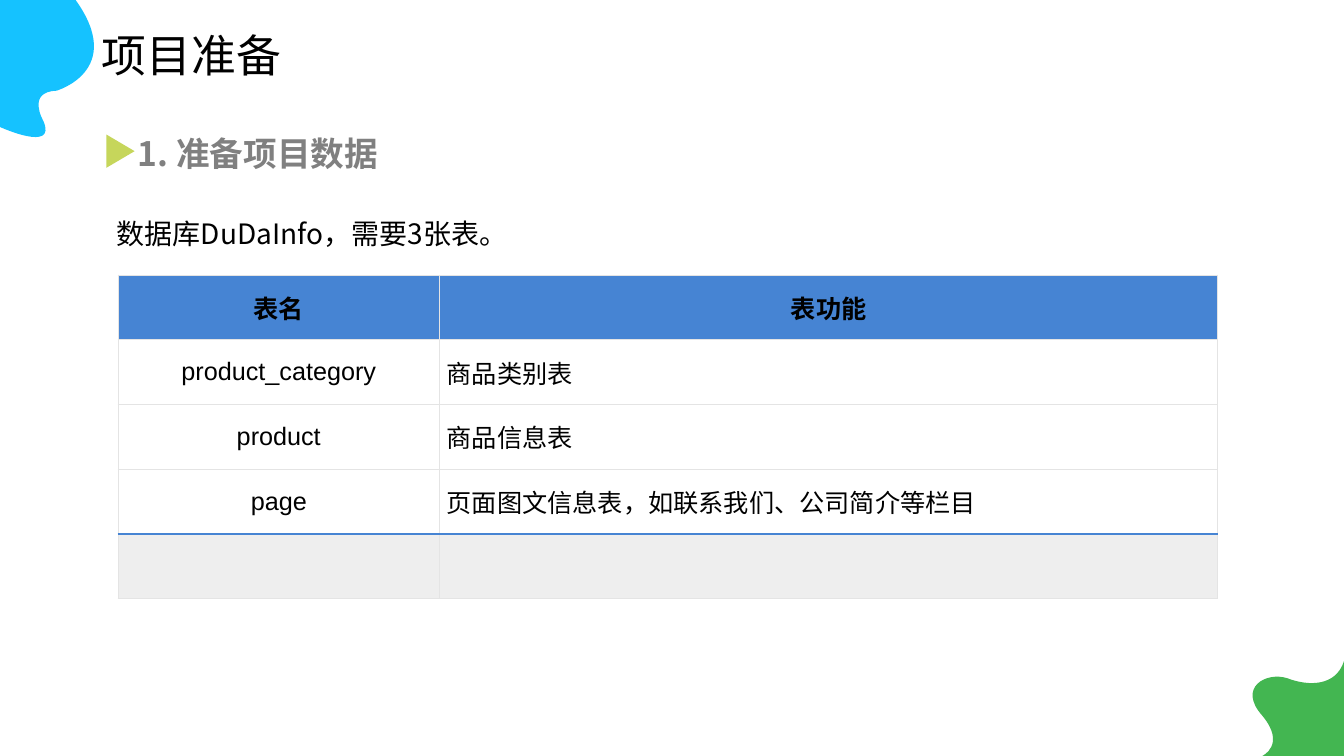
from dataclasses import dataclass

from lxml import etree
from pptx import Presentation
from pptx.dml.color import RGBColor
from pptx.enum.shapes import MSO_SHAPE
from pptx.enum.text import MSO_ANCHOR, MSO_AUTO_SIZE, PP_ALIGN
from pptx.oxml.ns import qn
from pptx.util import Inches, Pt

TRIANGLE = MSO_SHAPE.ISOSCELES_TRIANGLE
TOP, MIDDLE = MSO_ANCHOR.TOP, MSO_ANCHOR.MIDDLE
LEFT, CENTER = PP_ALIGN.LEFT, PP_ALIGN.CENTER
NO_AUTOFIT = MSO_AUTO_SIZE.NONE
TITLE_ONLY = 5
CJK_FONT = "Noto Sans CJK SC"
TABLE_FONT = "Arial"
BLUE, GRID, WHITE, FOOTER = "4684D3", "E4E4E4", "FFFFFF", "EEEEEE"

Point = tuple[float, float]


@dataclass
class Blob:
    start: Point
    curves: list[tuple[Point, Point, Point]]
    color: str


@dataclass
class Label:
    text: str
    left: float
    top: float
    width: float
    height: float
    size: int
    color: str = "000000"
    bold: bool = False
    spacing: float = 1.0


BLOBS = [
    Blob((0, 1.26), [
        ((0, 1.26), (0.57, 1.52), (0.43, 1.2)),
        ((0.43, 1.2), (0.26, 0.91), (0.56, 0.9)),
        ((0.56, 0.9), (1.25, 0.7), (0.75, 0)),
        ((0, 0), (0, 0), (0, 0)),
    ], "15C2FF"),
    Blob((12.52, 7.5), [
        ((12.52, 7.5), (12.76, 7.39), (12.52, 7.1)),
        ((12.27, 6.82), (12.56, 6.66), (12.77, 6.73)),
        ((12.98, 6.81), (13.25, 6.81), (13.33, 6.56)),
        ((13.33, 7.5), (13.33, 7.5), (13.33, 7.5)),
    ], "43B651"),
]
TITLE = Label("项目准备", 0.91, 0.22, 2.1, 0.64, 32)
LABELS = [
    Label("1. 准备项目数据", 1.27, 1.19, 3.39, 0.58, 24, "808080", True, 1.2),
    Label("数据库DuDaInfo，需要3张表。", 1.06, 2.1, 11.55, 0.44, 20),
]
TABLE_ROWS = [
    ("表名", "表功能"),
    ("product_category", "商品类别表"),
    ("product", "商品信息表"),
    ("page", "页面图文信息表，如联系我们、公司简介等栏目"),
    ("", ""),
]
COLUMN_WIDTHS = (3.19, 7.72)
TABLE_HEIGHT = 3.21


def rgb(color: str) -> RGBColor:
    return RGBColor.from_string(color)


def format_font(span, font: str, size: int, color: str, bold: bool) -> None:
    span.font.size = Pt(size)
    span.font.bold = bold
    span.font.color.rgb = rgb(color)
    span.font.name = font
    east_asian = etree.SubElement(span.font._element, qn("a:ea"))
    east_asian.set("typeface", CJK_FONT)


def paint(shape, color: str) -> None:
    shape.fill.solid()
    shape.fill.fore_color.rgb = rgb(color)
    shape.line.fill.background()
    shape.shadow.inherit = False


def bend_segments(shape) -> None:
    segments = list(shape._element.iter(qn("a:lnTo")))
    for first in range(0, len(segments), 3):
        curve = etree.Element(qn("a:cubicBezTo"))
        segments[first].addprevious(curve)
        for segment in segments[first:first + 3]:
            curve.append(segment[0])
            segment.getparent().remove(segment)


def draw_blob(page, blob: Blob) -> None:
    points = [(Inches(x), Inches(y)) for curve in blob.curves for x, y in curve]
    builder = page.shapes.build_freeform(Inches(blob.start[0]), Inches(blob.start[1]))
    builder.add_line_segments(points, close=True)
    shape = builder.convert_to_shape()
    bend_segments(shape)
    paint(shape, blob.color)


def fill_label(box, label: Label) -> None:
    box.left, box.top = Inches(label.left), Inches(label.top)
    box.width, box.height = Inches(label.width), Inches(label.height)
    frame = box.text_frame
    frame.text = label.text
    frame.word_wrap = True
    frame.auto_size = NO_AUTOFIT
    frame.vertical_anchor = TOP
    para = frame.paragraphs[0]
    para.alignment = LEFT
    para.line_spacing = label.spacing
    format_font(para.runs[0], CJK_FONT, label.size, label.color, label.bold)


def draw_marker(page) -> None:
    marker = page.shapes.add_shape(
        TRIANGLE, Inches(1.03), Inches(1.36), Inches(0.33), Inches(0.28))
    marker.rotation = 90
    paint(marker, "C6D65B")


def set_border(cell, index: int, side: str, color: str, points: float) -> None:
    line = etree.Element(qn(f"a:ln{side}"), w=str(Pt(points)))
    fill = etree.SubElement(line, qn("a:solidFill"))
    etree.SubElement(fill, qn("a:srgbClr"), val=color)
    cell._tc.get_or_add_tcPr().insert(index, line)


def format_cell(cell, text: str, row: int, column: int) -> None:
    last = len(TABLE_ROWS) - 1
    cell.fill.solid()
    cell.fill.fore_color.rgb = rgb({0: BLUE, last: FOOTER}.get(row, WHITE))
    for index, side in enumerate("LRTB"):
        accent = (row, side) in ((last - 1, "B"), (last, "T"))
        set_border(cell, index, side, *((BLUE, 2.25) if accent else (GRID, 0.75)))
    cell.margin_left = cell.margin_right = Inches(0.07)
    cell.margin_top = cell.margin_bottom = 0
    cell.vertical_anchor = MIDDLE
    if text:
        cell.text_frame.text = text
        para = cell.text_frame.paragraphs[0]
        para.alignment = CENTER if row == 0 or column == 0 else LEFT
        format_font(para.runs[0], TABLE_FONT, 18, "000000", row == 0)


def draw_table(page) -> None:
    table = page.shapes.add_table(
        len(TABLE_ROWS), len(COLUMN_WIDTHS), Inches(1.17), Inches(2.73),
        Inches(sum(COLUMN_WIDTHS)), Inches(TABLE_HEIGHT)).table
    table.first_row = table.horz_banding = False
    for column, width in zip(table.columns, COLUMN_WIDTHS):
        column.width = Inches(width)
    for row, texts in enumerate(TABLE_ROWS):
        table.rows[row].height = Inches(TABLE_HEIGHT / len(TABLE_ROWS))
        for column, text in enumerate(texts):
            format_cell(table.cell(row, column), text, row, column)


def main() -> None:
    deck = Presentation()
    deck.slide_width, deck.slide_height = Inches(13.33), Inches(7.5)
    page = deck.slides.add_slide(deck.slide_layouts[TITLE_ONLY])
    for blob in BLOBS:
        draw_blob(page, blob)
    fill_label(page.shapes.title, TITLE)
    for label in LABELS:
        fill_label(page.shapes.add_textbox(0, 0, 0, 0), label)
    draw_marker(page)
    draw_table(page)
    deck.save("out.pptx")


if __name__ == "__main__":
    main()
